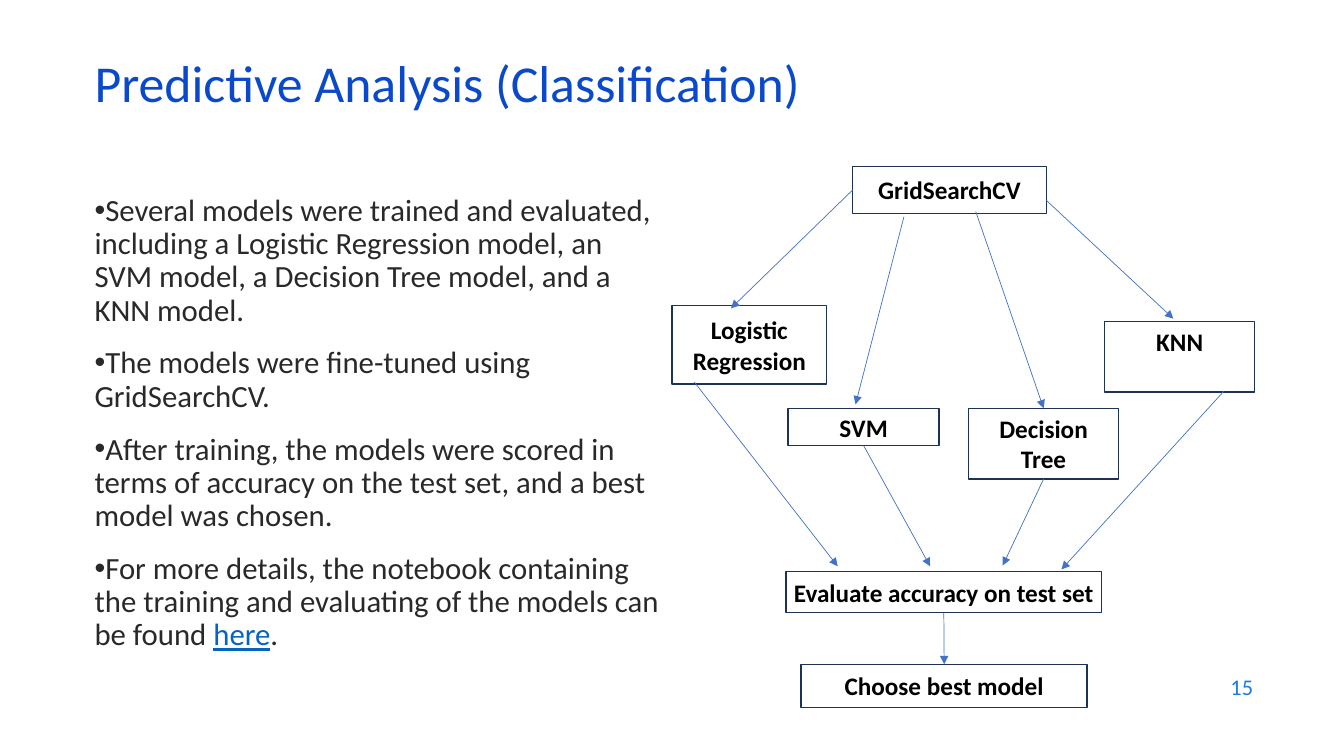
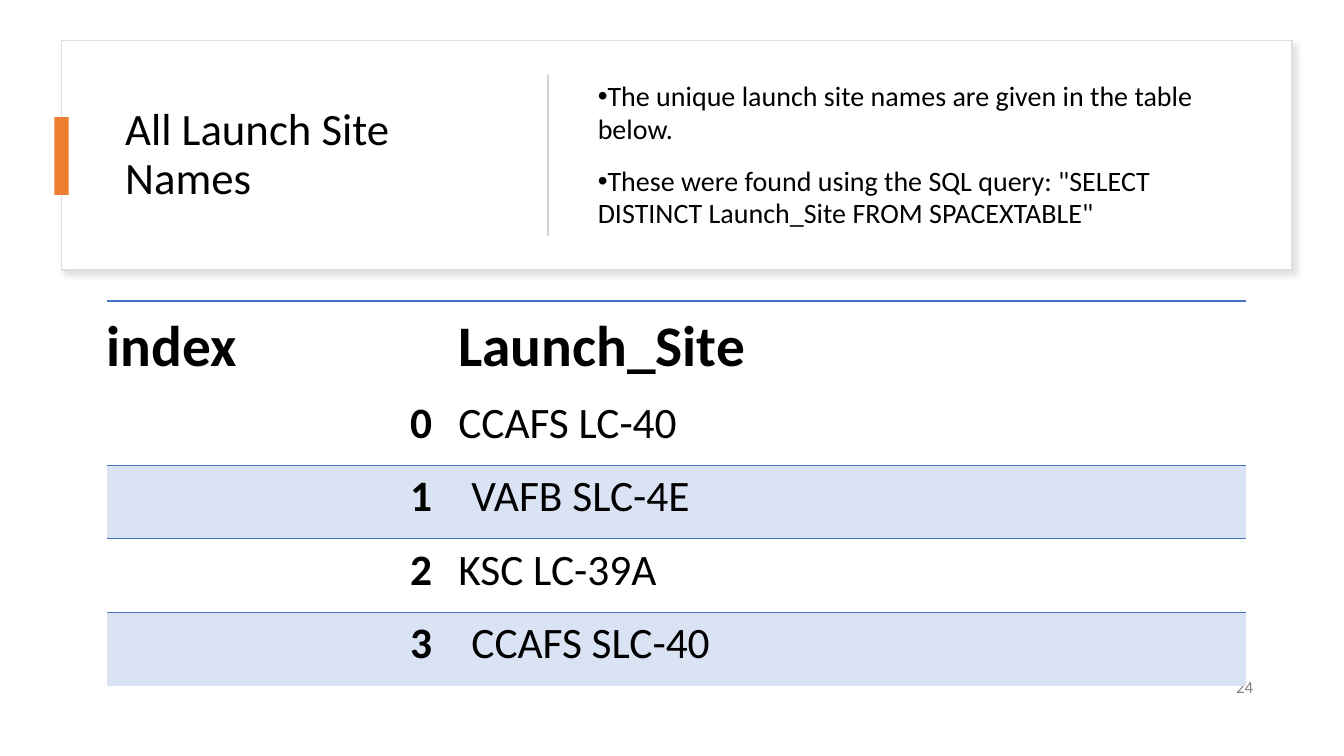
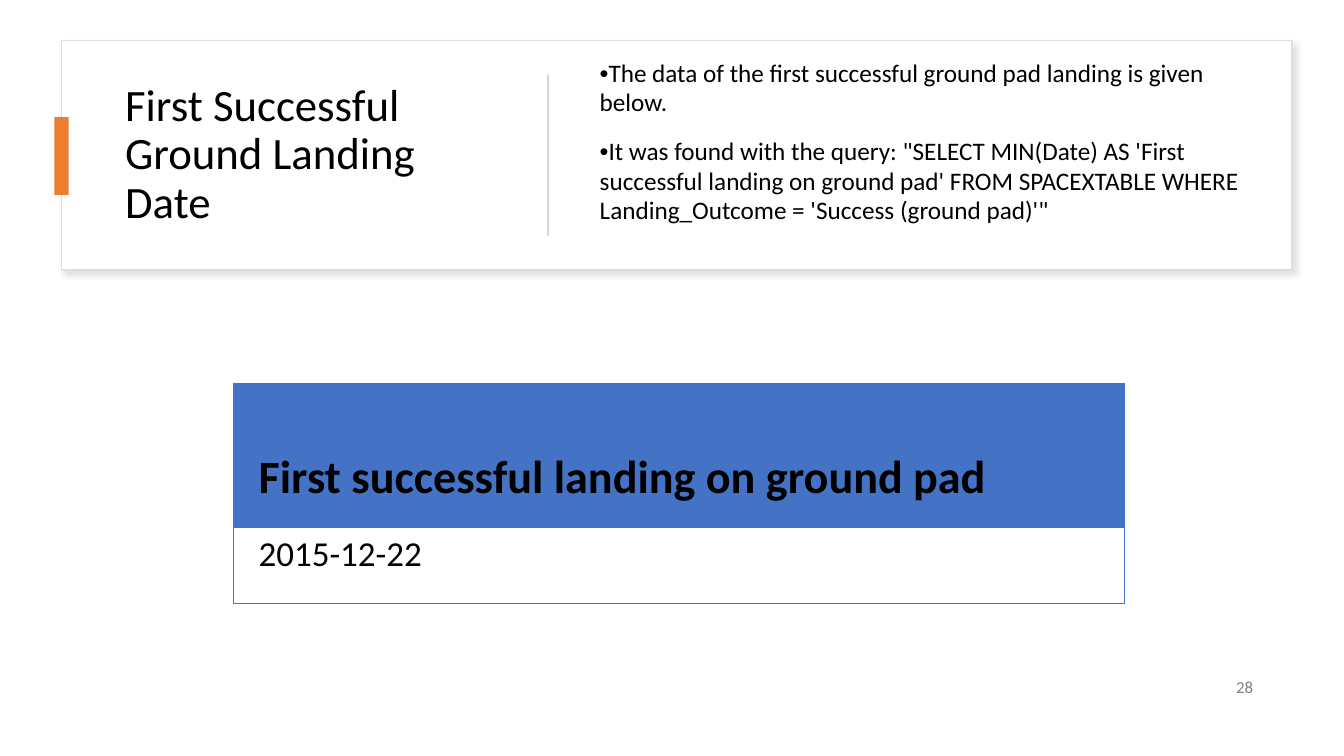
from lxml.etree import SubElement
from pptx import Presentation
from pptx.dml.color import RGBColor
from pptx.enum.shapes import MSO_CONNECTOR, MSO_SHAPE
from pptx.enum.text import MSO_ANCHOR, MSO_AUTO_SIZE, PP_ALIGN
from pptx.oxml import parse_xml
from pptx.oxml.ns import nsdecls, qn
from pptx.util import Cm, Pt

HUES = {
    "white": "FFFFFF", "black": "000000", "ink": "292929", "title": "0B49CB",
    "page": "1C7DDB", "gray": "808080", "link": "0563C1", "navy": "1E3256",
    "blue": "4472C4", "pale": "DAE3F3", "orange": "ED7D31", "rule": "D5D5D5",
    "frame": "DEDEDE", "shade": "C5C3C3",
}
RGB = {name: RGBColor.from_string(code) for name, code in HUES.items()}
PLAIN = "{2D5ABB26-0587-4C30-8999-92F81FD0307C}"


def style(para, size, hue, bold=False, **form):
    for key, val in form.items():
        setattr(para, key, val)
    for run in para.runs:
        for key, val in {"name": "Calibri", "size": Pt(size), "bold": bold}.items():
            setattr(run.font, key, val)
        run.font.color.rgb = RGB[hue]


def edge(cell, sides, width):
    props = cell._tc.get_or_add_tcPr()
    for spot, side in enumerate(sides):
        props.insert(spot, parse_xml(
            f'<a:ln{side} {nsdecls("a")} w="{Pt(width)}"><a:solidFill>'
            f'<a:srgbClr val="{HUES["blue"]}"/></a:solidFill></a:ln{side}>'))


SLIDES = [
    {"title": "Predictive Analysis (Classification)", "page": "15", "card": False,
     "head": (2.13, 1.5, 29.21, 1.52), "area": (2.13, 4.78, 14.88, 12.52),
     "look": (37, "title", 0.7), "text": (22, "ink", 0.9), "foot": (16, "page"),
     "list": [
         "Several models were trained and evaluated, including a Logistic Regression model, "
         "an SVM model, a Decision Tree model, and a KNN model.",
         "The models were fine-tuned using GridSearchCV.",
         "After training, the models were scored in terms of accuracy on the test set, "
         "and a best model was chosen.",
         "For more details, the notebook containing the training and evaluating of the "
         "models can be found |here|."]},
    {"title": "All Launch Site Names", "page": "24", "card": True,
     "head": (2.9, 1.63, 9.88, 4.57), "area": (14.81, 1.63, 16.66, 4.57),
     "look": (32, "black", 0.9), "text": (20, "black", 0.97), "foot": (12, "gray"),
     "list": [
         "The unique launch site names are given in the table below.",
         'These were found using the SQL query: "SELECT DISTINCT Launch_Site FROM SPACEXTABLE"']},
    {"title": "First Successful Ground Landing Date", "page": "28", "card": True,
     "head": (2.9, 1.63, 9.88, 4.57), "area": (14.86, 1.3, 16.66, 4.57),
     "look": (32, "black", 0.9), "text": (18, "black", 0.97), "foot": (12, "gray"),
     "list": [
         "The data of the first successful ground pad landing is given below.",
         "It was found with the query: \"SELECT MIN(Date) AS 'First successful landing on "
         "ground pad' FROM SPACEXTABLE WHERE Landing_Outcome = 'Success (ground pad)'\""]},
]
CARD = [
    (1.55, 1.02, 31.01, 5.79, "white"),
    (1.37, 2.95, 0.36, 1.96, "orange"),
    (13.79, 1.88, 0.05, 4.06, "rule"),
]

deck = Presentation()
deck.slide_width, deck.slide_height = Cm(33.87), Cm(19.05)

for data in SLIDES:
    slide = deck.slides.add_slide(deck.slide_layouts[1])
    title, body = slide.placeholders
    for holder, zone in ((title, data["head"]), (body, data["area"])):
        holder.left, holder.top, holder.width, holder.height = map(Cm, zone)
        holder.text_frame.auto_size = MSO_AUTO_SIZE.NONE
        holder.text_frame.vertical_anchor = MSO_ANCHOR.MIDDLE
    if not data["card"]:
        body.text_frame.vertical_anchor = MSO_ANCHOR.TOP

    title.text_frame.text = data["title"]
    size, hue, gap = data["look"]
    style(title.text_frame.paragraphs[0], size, hue,
          alignment=PP_ALIGN.LEFT, line_spacing=gap)

    size, hue, gap = data["text"]
    for rank, item in enumerate(data["list"]):
        para = body.text_frame.add_paragraph() if rank else body.text_frame.paragraphs[0]
        for part in item.split("|"):
            para.add_run().text = part
        props = para._p.get_or_add_pPr()
        props.set("marL", "0")
        props.set("indent", "0")
        style(para, size, hue, line_spacing=gap, space_before=Pt(14 if rank else 0))
        for run in para.runs[1::2]:
            run.font.underline = True
            run.font.color.rgb = RGB["link"]

    for *zone, hue in CARD if data["card"] else []:
        panel = slide.shapes.add_shape(MSO_SHAPE.RECTANGLE, *map(Cm, zone))
        panel.shadow.inherit = False
        panel.fill.solid()
        panel.fill.fore_color.rgb = RGB[hue]
        panel.line.fill.background()
        title.element.addprevious(panel.element)
        if hue == "white":
            panel.line.color.rgb = RGB["frame"]
            panel.line.width = Pt(1)
            glow = panel.element.spPr.find(qn("a:effectLst"))
            cast = SubElement(glow, qn("a:outerShdw"), blurRad=str(Pt(4)),
                              dist=str(Pt(3)), dir="2700000", algn="tl", rotWithShape="0")
            tint = SubElement(cast, qn("a:srgbClr"), val=HUES["shade"])
            SubElement(tint, qn("a:alpha"), val="50000")

    foot = slide.shapes.add_textbox(*map(Cm, (24.21, 16.74, 7.62, 1.12))).text_frame
    foot.word_wrap = True
    foot.vertical_anchor = MSO_ANCHOR.MIDDLE
    foot.text = data["page"]
    style(foot.paragraphs[0], *data["foot"], alignment=PP_ALIGN.RIGHT)

models, sites, landing = deck.slides

BOXES = {
    "grid": ("GridSearchCV", 21.49, 4.19, 4.88, 1.19),
    "logit": ("Logistic Regression", 16.94, 7.7, 3.89, 1.98),
    "svm": ("SVM", 19.86, 10.29, 3.81, 0.94),
    "tree": ("Decision Tree", 24.41, 10.29, 3.78, 1.78),
    "knn": ("KNN", 27.84, 8.1, 3.78, 1.78),
    "test": ("Evaluate accuracy on test set", 19.81, 14.4, 7.95, 1.04),
    "best": ("Choose best model", 20.19, 16.74, 7.21, 1.09),
}
nodes = {}
for name, (label, *zone) in BOXES.items():
    box = nodes[name] = models.shapes.add_shape(MSO_SHAPE.RECTANGLE, *map(Cm, zone))
    box.shadow.inherit = False
    box.fill.solid()
    box.fill.fore_color.rgb = RGB["white"]
    box.line.color.rgb = RGB["navy"]
    box.line.width = Pt(1)
    frame = box.text_frame
    form = {"margin_left": Cm(0.15), "margin_right": Cm(0.15), "margin_top": 0,
            "margin_bottom": 0, "word_wrap": True, "vertical_anchor": MSO_ANCHOR.MIDDLE}
    for key, val in form.items():
        setattr(frame, key, val)
    frame.text = label
    style(frame.paragraphs[0], 18, "black", True, alignment=PP_ALIGN.CENTER)
nodes["knn"].text_frame.vertical_anchor = MSO_ANCHOR.TOP
nodes["knn"].text_frame.margin_top = Cm(0.13)

ARROWS = [
    (21.36, 4.85, 18.42, 7.77, ("grid", 1), None),
    (26.37, 5.05, 29.57, 8.03, None, None),
    (24.59, 5.33, 26.24, 10.26, None, ("tree", 0)),
    (22.78, 5.46, 21.56, 10.19, None, None),
    (17.5, 9.63, 21.11, 14.27, None, None),
    (26.44, 12.04, 25.27, 14.25, ("tree", 2), None),
    (21.67, 11.18, 23.44, 14.27, ("svm", 2), None),
    (30.84, 9.86, 26.75, 14.35, None, None),
    (23.83, 15.49, 23.83, 16.74, ("test", 2), ("best", 0)),
]
for *ends, start, stop in ARROWS:
    arrow = models.shapes.add_connector(MSO_CONNECTOR.STRAIGHT, *map(Cm, ends))
    if start:
        arrow.begin_connect(nodes[start[0]], start[1])
    if stop:
        arrow.end_connect(nodes[stop[0]], stop[1])
    arrow.line.color.rgb = RGB["blue"]
    arrow.line.width = Pt(0.5)
    SubElement(arrow.line._get_or_add_ln(), qn("a:tailEnd"), type="triangle")
    SubElement(arrow.element.spPr, qn("a:effectLst"))

TABLES = [
    (sites, (2.69, 7.59), (8.86, 19.86), (2.29, 1.85, 1.85, 1.85, 1.85),
     [("index", "Launch_Site"), ("0", "CCAFS LC-40"), ("1", "VAFB SLC-4E"),
      ("2", "KSC LC-39A"), ("3", "CCAFS SLC-40")]),
    (landing, (5.89, 9.65), (0.58, 21.82), (3.63, 1.93),
     [("", "First successful landing on ground pad"), ("", "2015-12-22")]),
]
for slide, spot, wide, high, rows in TABLES:
    holder = slide.shapes.add_table(len(rows), len(wide), *map(Cm, spot),
                                    Cm(sum(wide)), Cm(sum(high)))
    next(holder.element.iter(qn("a:tableStyleId"))).text = PLAIN
    table = holder.table
    table.horz_banding = False
    for col, width in zip(table.columns, wide):
        col.width = Cm(width)
    for r, (line, tall) in enumerate(zip(rows, high)):
        table.rows[r].height = Cm(tall)
        for c, text in enumerate(line):
            cell = table.cell(r, c)
            cell.text = text
            para = cell.text_frame.paragraphs[0]
            if slide is sites:
                band = r in (2, 4)
                fill = "pale" if band else None
                pads = (0.33 if band else 0, 0.13, 0.66 if r else 0.08, 0.13)
                anchor = MSO_ANCHOR.TOP if r else MSO_ANCHOR.MIDDLE
                style(para, 31 if r else 41, "black", r == 0 or c == 0,
                      alignment=PP_ALIGN.RIGHT if r and c == 0 else PP_ALIGN.LEFT)
            else:
                fill = None if r else "blue"
                pads = (0, 0.15 if r else 0.1, 0.53, 0.53)
                anchor = MSO_ANCHOR.TOP if r else MSO_ANCHOR.BOTTOM
                style(para, 25 if r else 33, "black", r == 0)
            cell.vertical_anchor = anchor
            for side, pad in zip(("left", "top", "right", "bottom"), pads):
                setattr(cell, f"margin_{side}", Cm(pad))
            if fill:
                cell.fill.solid()
                cell.fill.fore_color.rgb = RGB[fill]
            else:
                cell.fill.background()
            if slide is landing:
                edge(cell, "RTB" if c else "LTB", 0.5)
            elif r in (0, 2, 4):
                edge(cell, "T", 0.75 if r else 1.5)

deck.save("out.pptx")
